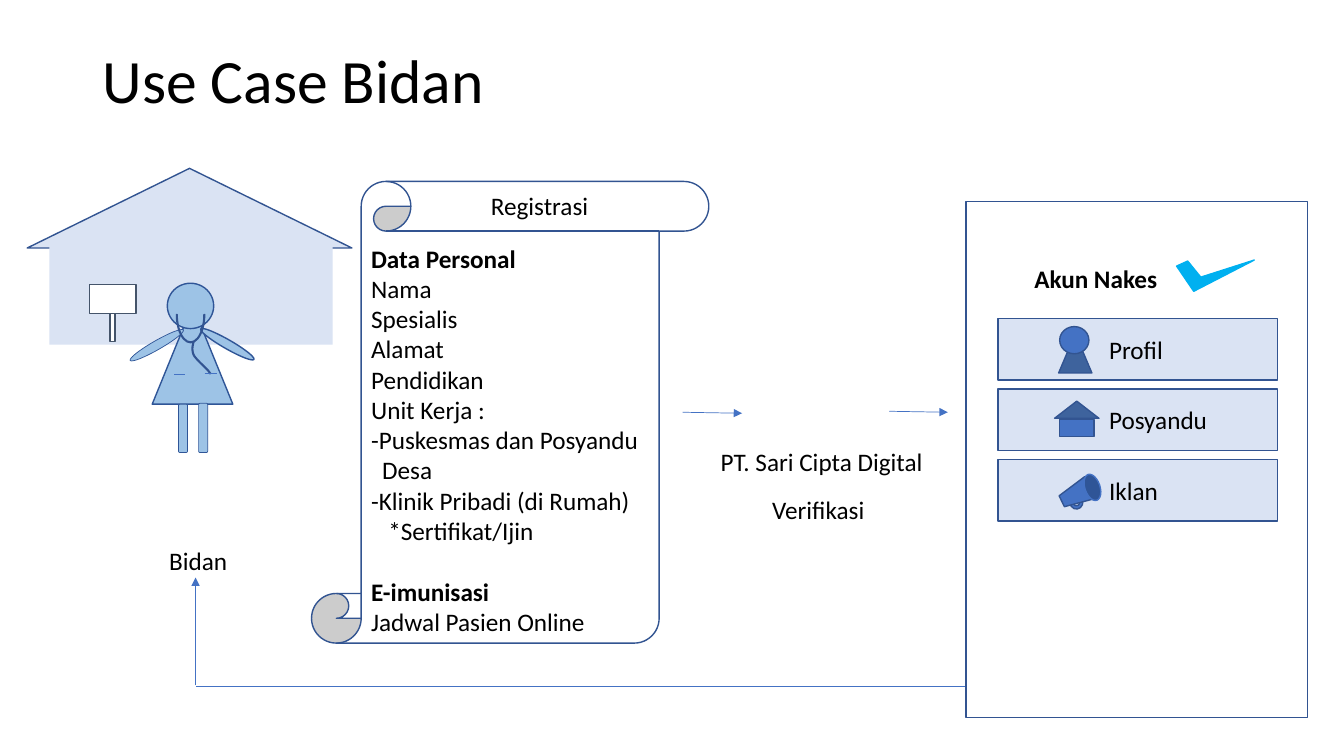
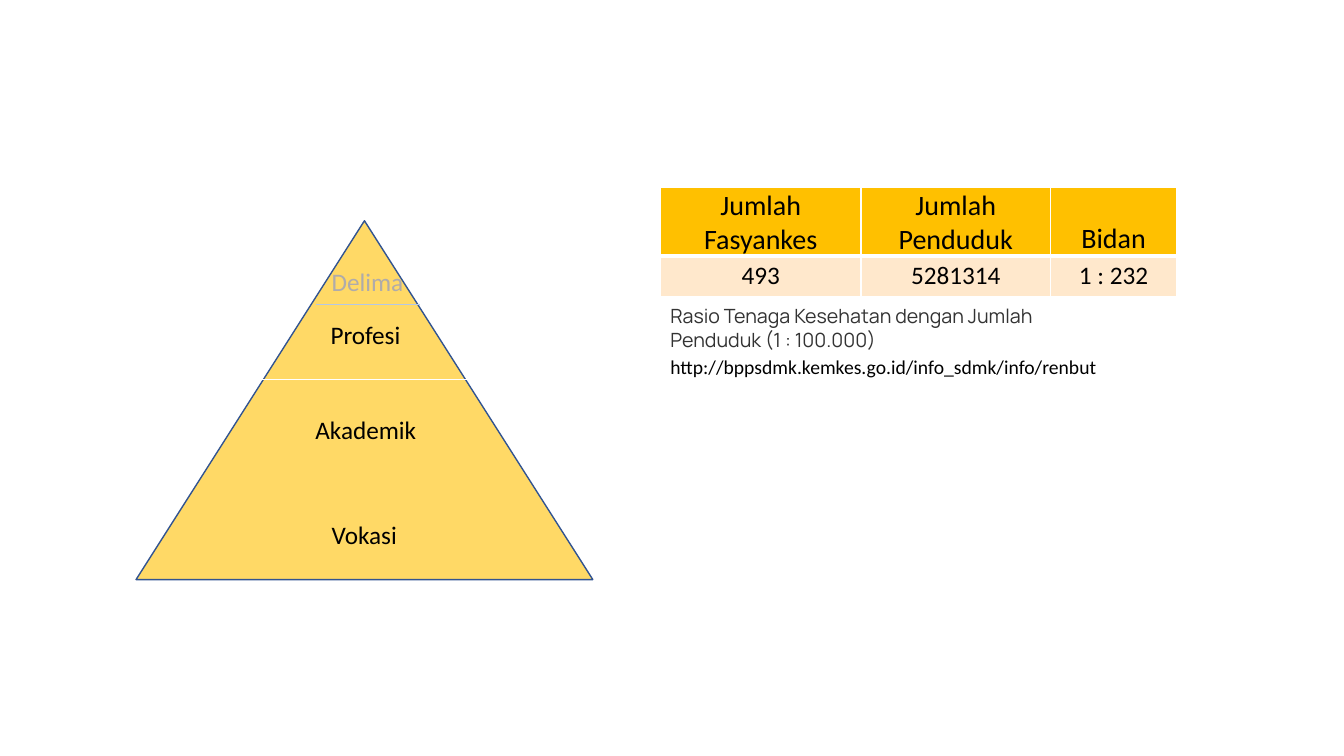
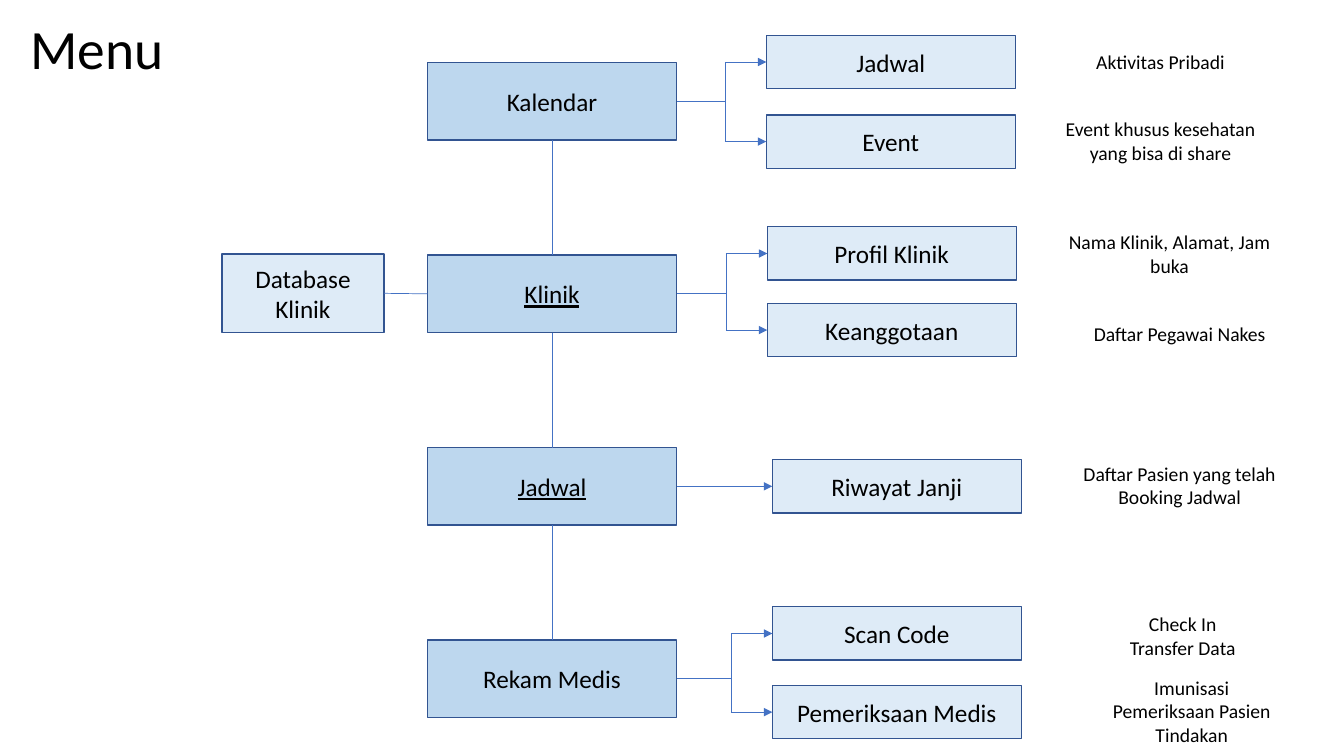
from dataclasses import dataclass

from lxml import etree
from pptx import Presentation
from pptx import util as u
from pptx.dml.color import RGBColor
from pptx.enum import shapes, text
from pptx.oxml.ns import qn

Inches, Pt = u.Inches, u.Pt
Kind = shapes.MSO_SHAPE
Anchor = text.MSO_ANCHOR
Align = text.PP_ALIGN


@dataclass(frozen=True)
class Theme:
    font: str = "Calibri"
    source_font: str = "Manrope"
    black: str = "000000"
    white: str = "FFFFFF"
    gray: str = "AFABAB"
    source_gray: str = "333333"
    outline: str = "325491"
    dark: str = "2F5597"
    roof: str = "3E639D"
    blue: str = "4472C4"
    skin: str = "9DC3E6"
    slate: str = "44546A"
    pale: str = "DAE3F3"
    menu: str = "BDD7EE"
    submenu: str = "DEEBF7"
    check: str = "00B0F0"
    gold: str = "FFD966"
    divider: str = "B4C7E7"
    header: str = "FFC000"
    row: str = "FFE8CC"
    title: float = 44
    small_title: float = 39.6
    table_head: float = 20
    body: float = 18
    note: float = 14


T = Theme()

# Slide 1: kind, left, top, width, height, fill, line, line width, rotation
HOUSE = [
    (Kind.ISOSCELES_TRIANGLE, 0.27, 1.67, 3.22, 0.79, T.pale, T.outline, 1, 0),
    (Kind.RECTANGLE, 0.49, 2.44, 2.81, 0.98, T.pale, None, 0, 0),
    (Kind.RECTANGLE, 1.09, 3.09, 0.05, 0.3, T.white, T.slate, 1, 0),
    (Kind.RECTANGLE, 0.89, 2.82, 0.46, 0.29, T.white, T.slate, 1, 0),
]
MIDWIFE = [
    (Kind.ISOSCELES_TRIANGLE, 1.51, 3.03, 0.8, 0.98, T.skin, T.dark, 1, 0),
    (Kind.ROUNDED_RECTANGLE, 1.97, 4, 0.09, 0.49, T.skin, T.dark, 0.5, 0),
    (Kind.ROUNDED_RECTANGLE, 1.77, 4.01, 0.09, 0.48, T.skin, T.dark, 0.5, 0),
    (Kind.OVAL, 1.25, 3.38, 0.61, 0.09, T.skin, T.dark, 0.5, 330.2),
    (Kind.OVAL, 1.95, 3.37, 0.61, 0.09, T.skin, T.dark, 1, 29.8),
    (Kind.OVAL, 1.66, 2.81, 0.46, 0.45, T.skin, T.dark, 1, 0),
]
STETHOSCOPE_ARC = (Kind.BLOCK_ARC, 1.75, 2.84, 0.28, 0.56, T.roof, T.outline, 1, 180)
STETHOSCOPE_TUBE = [
    ((1.92, 3.39), (1.91, 3.43), (1.9, 3.47), (1.92, 3.52)),
    ((1.92, 3.52), (1.94, 3.56), (2.03, 3.64), (2.06, 3.67)),
    ((2.06, 3.67), (2.09, 3.71), (2.09, 3.71), (2.09, 3.71)),
]
POCKETS = [((2.03, 3.7), (2.15, 3.7)), ((1.73, 3.71), (1.84, 3.71))]
PERSON_ICON = [
    (Kind.ISOSCELES_TRIANGLE, 10.5, 3.31, 0.33, 0.39, T.roof, T.outline, 1, 0),
    (Kind.OVAL, 10.51, 3.24, 0.29, 0.27, T.blue, T.outline, 1, 0),
]
HOME_ICON = [
    (Kind.ISOSCELES_TRIANGLE, 10.46, 3.98, 0.44, 0.17, T.roof, T.outline, 1, 0),
    (Kind.RECTANGLE, 10.51, 4.16, 0.34, 0.17, T.blue, T.outline, 1, 0),
]
MEGAPHONE_ICON = [
    (Kind.BLOCK_ARC, 10.61, 4.91, 0.13, 0.14, T.blue, T.outline, 1, 171.5),
    (Kind.TRAPEZOID, 10.55, 4.75, 0.24, 0.31, T.blue, T.outline, 1, 244.2),
    (Kind.OVAL, 10.76, 4.7, 0.15, 0.27, T.dark, T.blue, 1, 341.2),
]
ACCOUNT = (Kind.RECTANGLE, 9.58, 2, 3.39, 5.12, T.white, T.outline, 1, 0)
ACCOUNT_ITEMS = [("Profil", PERSON_ICON), ("Posyandu", HOME_ICON), ("Iklan", MEGAPHONE_ICON)]
CHECK_MARK = [(11.67, 2.64), (11.84, 2.89), (12.44, 2.58), (11.91, 2.75), (11.78, 2.59)]
SCROLL = (Kind.VERTICAL_SCROLL, 3.09, 1.8, 3.94, 4.58, T.white, T.outline, 1, 0)
# text, bold, indent in inches, space before in points
REGISTRATION = [
    ("Data Personal", True, 0, 0),
    ("Nama", False, 0, 0),
    ("Spesialis", False, 0, 0),
    ("Alamat", False, 0, 0),
    ("Pendidikan", False, 0, 0),
    ("Unit Kerja :", False, 0, 0),
    ("-Puskesmas dan Posyandu", False, 0, 0),
    ("Desa", False, 0.11, 0),
    ("-Klinik Pribadi (di Rumah)", False, 0, 0),
    ("*Sertifikat/Ijin", False, 0.17, 0),
    ("E-imunisasi", True, 0, 22),
    ("Jadwal Pasien Online", False, 0, 0),
]
FLOW_LABELS = [
    ("Verifikasi", 7.56, 4.86, 1.13),
    ("Registrasi", 4.77, 1.84, 1.18),
    ("PT. Sari Cipta Digital", 7.05, 4.38, 2.45),
    ("Bidan", 1.58, 5.36, 1.54),
]
FLOW_LINES = [
    ((6.77, 4.09), (7.36, 4.1), True),
    ((8.82, 4.08), (9.4, 4.09), True),
    ((1.94, 6.8), (1.94, 5.73), True),
    ((9.57, 6.81), (1.94, 6.81), False),
]

# Slide 2
PYRAMID = (Kind.ISOSCELES_TRIANGLE, 1.35, 2.19, 4.53, 3.56, T.gold, T.outline, 1, 0)
PYRAMID_LINES = [((3.13, 3.02), (4.17, 3.02), T.divider), ((2.05, 3.76), (4.91, 3.76), T.white)]
PYRAMID_LEVELS = [
    ("Delima", 3.19, 2.59, 0.92, T.gray),
    ("Profesi", 3.18, 3.12, 0.9, T.black),
    ("Akademik", 3.03, 4.06, 1.21, T.black),
    ("Vokasi", 3.19, 5.1, 0.85, T.black),
]
RATIO_TABLE = [("Jumlah Fasyankes", "Jumlah Penduduk", "Bidan"), ("493", "5281314", "1 : 232")]
RATIO_WIDTHS = (1.99, 1.88, 1.25)
RATIO_HEIGHTS = (0.67, 0.41)
RATIO_CAPTION = "Rasio Tenaga Kesehatan dengan Jumlah Penduduk (1 : 100.000)"
RATIO_LINK = "http://bppsdmk.kemkes.go.id/info_sdmk/info/renbut"

# Slide 3: menu, underlined, submenu left, [(submenu, top, note lines, note left, note top)]
MENUS = [
    ("Kalendar", False, 7.6, [
        ("Jadwal", 0.35, ["Aktivitas Pribadi"], 10.32, 0.35),
        ("Event", 1.14, ["Event khusus kesehatan yang bisa di share"], 10.32, 1.13)]),
    ("Klinik", True, 7.61, [
        ("Profil Klinik", 2.25, ["Nama Klinik, Alamat, Jam buka"], 10.41, 2.25),
        ("Keanggotaan", 3.01, ["Daftar Pegawai Nakes"], 10.51, 3.05)]),
    ("Jadwal", True, 7.66, [
        ("Riwayat Janji", 4.56, ["Daftar Pasien yang telah Booking Jadwal"], 10.51, 4.55)]),
    ("Rekam Medis", False, 7.66, [
        ("Scan Code", 6.02, ["Check In", "Transfer Data"], 10.54, 6.04),
        ("Pemeriksaan Medis", 6.8, ["Imunisasi", "Pemeriksaan Pasien", "Tindakan"], 10.63, 6.79)]),
]
MENU_LEFT, MENU_TOP, MENU_STEP = 4.24, 0.62, 1.91
MENU_WIDTH, MENU_HEIGHT, SUBMENU_HEIGHT = 2.47, 0.77, 0.53
BRANCH = 0.41
NOTE_WIDTH = 2.38


def color(value):
    return RGBColor.from_string(value)


def style_outline(shape, fill, line, width):
    shape.shadow.inherit = False
    if fill:
        shape.fill.solid()
        shape.fill.fore_color.rgb = color(fill)
    else:
        shape.fill.background()
    if line:
        shape.line.color.rgb = color(line)
        shape.line.width = Pt(width)
    else:
        shape.line.fill.background()


def add_part(parent, part):
    kind, left, top, width, height, fill, line, line_width, rotation = part
    shape = parent.add_shape(kind, Inches(left), Inches(top), Inches(width), Inches(height))
    style_outline(shape, fill, line, line_width)
    shape.rotation = rotation
    return shape


def add_group(page, parts):
    group = page.shapes.add_group_shape().shapes
    for part in parts:
        add_part(group, part)
    return group


def add_line(parent, start, end, line=T.blue, arrow=False):
    connector = parent.add_connector(
        shapes.MSO_CONNECTOR.STRAIGHT, *(Inches(value) for value in (*start, *end)))
    connector.line.color.rgb = color(line)
    connector.line.width = Pt(0.5)
    if arrow:
        etree.SubElement(connector.line._get_or_add_ln(), qn("a:tailEnd"), type="triangle")
    etree.SubElement(connector._element.spPr, qn("a:effectLst"))
    return connector


def add_outline(parent, points, fill, line, width, close):
    points = [(Inches(x), Inches(y)) for x, y in points]
    builder = parent.build_freeform(*points[0], scale=1.0)
    builder.add_line_segments(points[1:], close=close)
    style_outline(builder.convert_to_shape(), fill, line, width)


def bezier_points(segment, steps=8):
    for step in range(steps + 1):
        t = step / steps
        weights = ((1 - t) ** 3, 3 * t * (1 - t) ** 2, 3 * t * t * (1 - t), t ** 3)
        yield tuple(sum(w * point[axis] for w, point in zip(weights, segment)) for axis in (0, 1))


def write(para, words, size=T.body, ink=T.black, font=T.font, bold=False, underline=False,
          align=Align.LEFT):
    para.alignment = align
    span = para.add_run()
    span.text = words
    span.font.name = font
    span.font.size = Pt(size)
    span.font.color.rgb = color(ink)
    span.font.bold = bold
    span.font.underline = underline


def write_lines(frame, lines, **style):
    for index, words in enumerate(lines):
        para = frame.add_paragraph() if index else frame.paragraphs[0]
        write(para, words, **style)


def add_label(parent, lines, left, top, width, height=0.4, wrap=False, anchor=Anchor.TOP, **style):
    box = parent.add_textbox(Inches(left), Inches(top), Inches(width), Inches(height))
    box.text_frame.word_wrap = wrap
    box.text_frame.vertical_anchor = anchor
    write_lines(box.text_frame, lines, **style)


def add_box(page, words, left, top, width, height, fill, **style):
    box = add_part(page.shapes, (Kind.RECTANGLE, left, top, width, height, fill, T.outline, 1, 0))
    box.text_frame.vertical_anchor = Anchor.MIDDLE
    box.text_frame.word_wrap = True
    write(box.text_frame.paragraphs[0], words, **style)
    return box


def add_title(page, words, left, top, width, height, size):
    title = page.shapes.title
    title.left, title.top, title.width, title.height = (
        Inches(value) for value in (left, top, width, height))
    frame = title.text_frame
    frame.auto_size = text.MSO_AUTO_SIZE.NONE
    frame.vertical_anchor = Anchor.MIDDLE
    frame.paragraphs[0].line_spacing = 0.9
    write(frame.paragraphs[0], words, size=size)


def add_borders(cell, bottom):
    properties = cell._tc.get_or_add_tcPr()
    for side, width in (("L", 1), ("R", 1), ("T", 1), ("B", bottom)):
        border = etree.SubElement(properties, qn(f"a:ln{side}"), w=str(Pt(width)))
        fill = etree.SubElement(border, qn("a:solidFill"))
        etree.SubElement(fill, qn("a:srgbClr"), val=T.white)


def build_use_case(page):
    add_title(page, "Use Case Bidan", 0.92, 0.1, 11.5, 1.45, T.title)
    scene = add_group(page, HOUSE + MIDWIFE)
    arc = add_part(scene, STETHOSCOPE_ARC)
    for index, value in enumerate((108, 0, 0.025)):
        arc.adjustments[index] = value
    tube = [point for segment in STETHOSCOPE_TUBE for point in bezier_points(segment)]
    add_outline(scene, tube, None, T.outline, 1.5, False)
    for start, end in POCKETS:
        add_line(scene, start, end)

    add_part(page.shapes, ACCOUNT)
    frame = add_part(page.shapes, SCROLL).text_frame
    frame.word_wrap = True
    frame.vertical_anchor = Anchor.MIDDLE
    frame.margin_top = Inches(0.35)
    for index, (words, bold, indent, before) in enumerate(REGISTRATION):
        para = frame.add_paragraph() if index else frame.paragraphs[0]
        if indent:
            para._p.get_or_add_pPr().set("marL", str(Inches(indent)))
        if before:
            para.space_before = Pt(before)
        write(para, words, bold=bold)

    add_label(page.shapes, ["Akun Nakes"], 10.16, 2.56, 1.5, bold=True)
    for words, left, top, width in FLOW_LABELS:
        add_label(page.shapes, [words], left, top, width)
    for start, end, arrow in FLOW_LINES:
        add_line(page.shapes, start, end, arrow=arrow)
    add_outline(page.shapes, CHECK_MARK, T.check, T.check, 1, True)
    for index, (words, icon) in enumerate(ACCOUNT_ITEMS):
        box = add_box(page, words, 9.9, 3.16 + 0.7 * index, 2.77, 0.61, T.pale)
        box.text_frame.margin_left = Inches(1.1)
        add_group(page, icon)


def build_ratio(page):
    pyramid = add_group(page, [PYRAMID])
    for start, end, line in PYRAMID_LINES:
        add_line(pyramid, start, end, line)
    for words, left, top, width, ink in PYRAMID_LEVELS:
        add_label(pyramid, [words], left, top, width, ink=ink)

    table = page.shapes.add_table(
        len(RATIO_TABLE), len(RATIO_WIDTHS), Inches(6.55), Inches(1.86),
        Inches(sum(RATIO_WIDTHS)), Inches(sum(RATIO_HEIGHTS))).table
    table.first_row = table.horz_banding = False
    for column, width in zip(table.columns, RATIO_WIDTHS):
        column.width = Inches(width)
    for index, values in enumerate(RATIO_TABLE):
        head = index == 0
        table.rows[index].height = Inches(RATIO_HEIGHTS[index])
        for cell, words in zip(table.rows[index].cells, values):
            add_borders(cell, 3 if head else 1)
            cell.fill.solid()
            cell.fill.fore_color.rgb = color(T.header if head else T.row)
            if head:
                cell.vertical_anchor = Anchor.BOTTOM
                cell.margin_left = cell.margin_right = cell.margin_top = Inches(0.01)
                cell.margin_bottom = 0
            write(cell.text_frame.paragraphs[0], words,
                  size=T.table_head if head else T.body, align=Align.CENTER)

    add_label(page.shapes, [RATIO_LINK], 6.55, 3.47, 4.47, 0.34, size=T.note)
    add_label(page.shapes, [RATIO_CAPTION], 6.55, 2.97, 3.87, 0.57, wrap=True,
              size=T.note, ink=T.source_gray, font=T.source_font)


def join(page, first, first_side, second, second_side, arrow=False):
    connector = add_line(page.shapes, (0, 0), (1, 1), arrow=arrow)
    connector.begin_connect(first, first_side)
    connector.end_connect(second, second_side)


def add_branches(page, menu, menu_middle, submenus, left):
    """Link a menu to its submenus, by a shared trunk when there are several."""
    if len(submenus) == 1:
        join(page, menu, 3, submenus[0][0], 1, arrow=True)
        return
    trunk = left - BRANCH
    stub = add_line(page.shapes, (MENU_LEFT + MENU_WIDTH, menu_middle), (trunk, menu_middle))
    stub.begin_connect(menu, 3)
    add_line(page.shapes, (trunk, submenus[0][1]), (trunk, submenus[-1][1]))
    for box, middle in submenus:
        branch = add_line(page.shapes, (trunk, middle), (left, middle), arrow=True)
        branch.end_connect(box, 1)


def build_menu(page):
    add_title(page, "Menu", 0.2, 0.15, 3.5, 0.73, T.small_title)
    menus = []
    for index, (words, underline, left, children) in enumerate(MENUS):
        top = MENU_TOP + MENU_STEP * index
        menu = add_box(page, words, MENU_LEFT, top, MENU_WIDTH, MENU_HEIGHT, T.menu,
                       underline=underline, align=Align.CENTER)
        submenus = []
        for child, child_top, note, note_left, note_top in children:
            box = add_box(page, child, left, child_top, MENU_WIDTH, SUBMENU_HEIGHT, T.submenu,
                          align=Align.CENTER)
            submenus.append((box, child_top + SUBMENU_HEIGHT / 2))
            add_label(page.shapes, note, note_left, note_top, NOTE_WIDTH, SUBMENU_HEIGHT,
                      wrap=True, anchor=Anchor.MIDDLE, size=T.note, align=Align.CENTER)
        add_branches(page, menu, top + MENU_HEIGHT / 2, submenus, left)
        if menus:
            join(page, menus[-1], 2, menu, 0)
        menus.append(menu)
    database = add_box(page, "Database Klinik", 2.2, 2.52, 1.61, 0.78, T.submenu,
                       align=Align.CENTER)
    join(page, database, 3, menus[1], 1)


def main():
    deck = Presentation()
    deck.slide_width, deck.slide_height = Inches(13.33), Inches(7.5)
    title_only, blank = deck.slide_layouts[5], deck.slide_layouts[6]
    for layout, build in ((title_only, build_use_case), (blank, build_ratio),
                          (title_only, build_menu)):
        build(deck.slides.add_slide(layout))
    deck.save("out.pptx")


if __name__ == "__main__":
    main()
